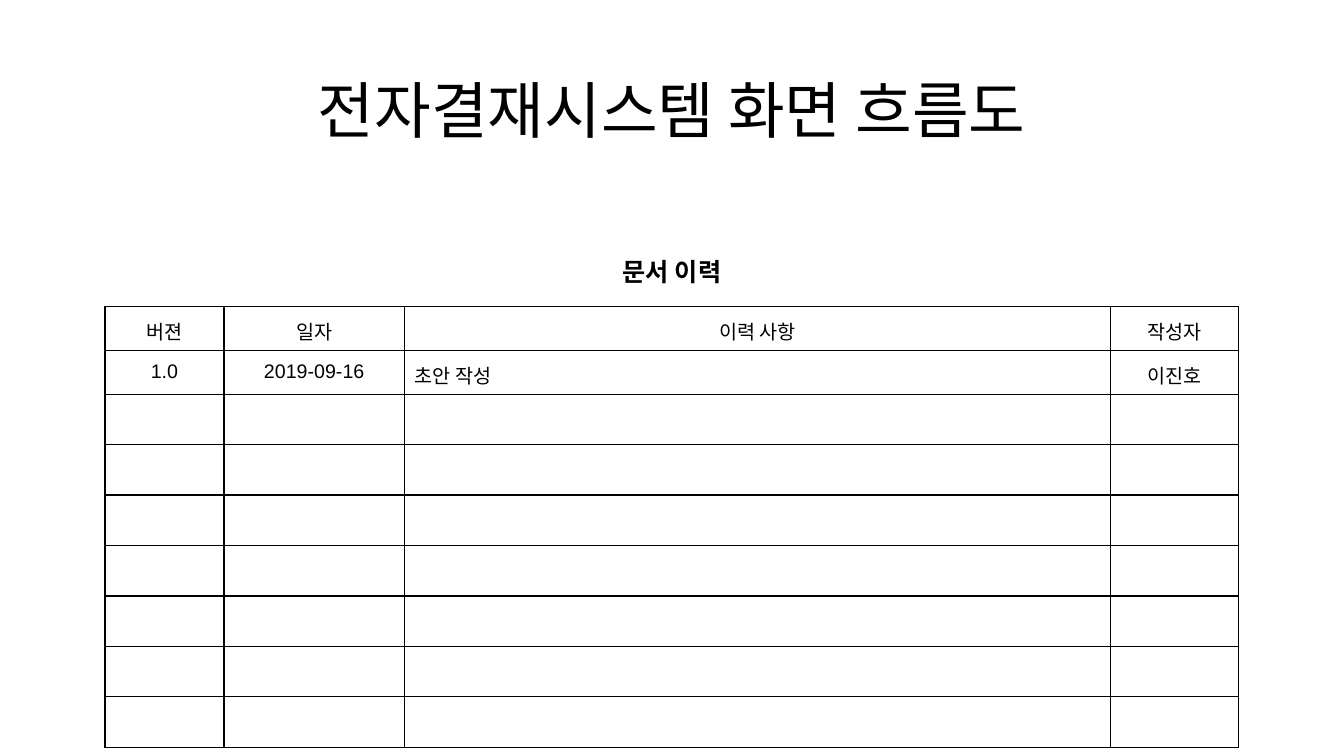
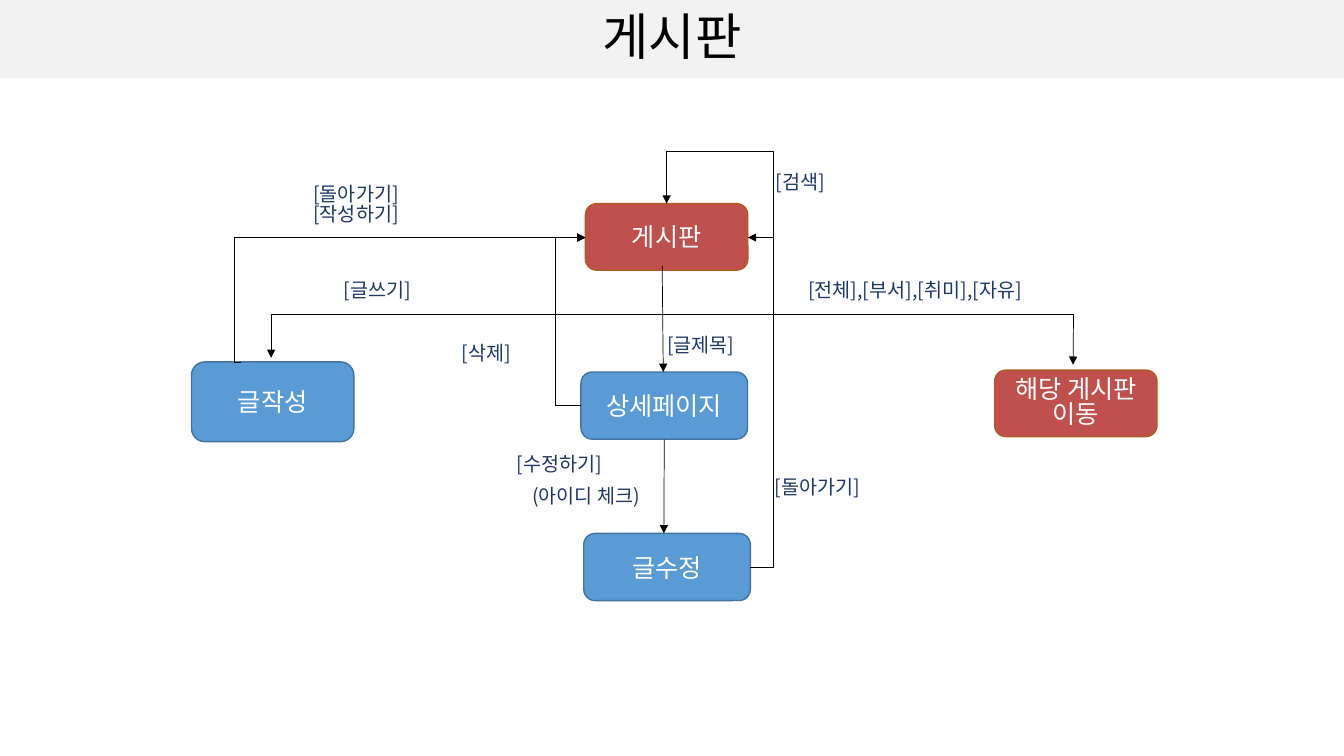
from pptx import Presentation
from pptx.dml.color import RGBColor
from pptx.enum.shapes import MSO_CONNECTOR as Conn, MSO_SHAPE as Kind
from pptx.enum.text import MSO_ANCHOR as Anchor, PP_ALIGN as Align
from pptx.oxml.ns import qn
from pptx.util import Pt
from lxml.etree import SubElement as Sub

BLACK = RGBColor(0x00, 0x00, 0x00)
WHITE = RGBColor(0xFF, 0xFF, 0xFF)
GREY = RGBColor(0xF2, 0xF2, 0xF2)
NAVY = RGBColor(0x20, 0x38, 0x64)
BLUE = RGBColor(0x5B, 0x9B, 0xD5)
STEEL = RGBColor(0x43, 0x73, 0x9E)
RED = RGBColor(0xC0, 0x50, 0x4D)
RUST = RGBColor(0xAF, 0x5C, 0x24)


class Deck:
    font = "Noto Sans CJK KR"
    latin = "Arial"
    thin = 0.5

    def __init__(self):
        self.prs = Presentation()
        self.prs.slide_width, self.prs.slide_height = Pt(960), Pt(540)

    def page(self):
        self.slide = self.prs.slides.add_slide(self.prs.slide_layouts[6])

    def put(self, frame, lines, size, color, align=Align.LEFT, font=font, bold=False, lead=None):
        frame.word_wrap = True
        for i, line in enumerate(lines):
            para = frame.add_paragraph() if i else frame.paragraphs[0]
            para.alignment = align
            if lead:
                para.line_spacing = lead
            run = para.add_run()
            run.text = line
            run.font.size, run.font.bold, run.font.name = Pt(size), bold, font
            run.font.color.rgb = color
            Sub(run.font._element, qn("a:ea")).set("typeface", self.font)

    def text(self, lines, x, y, w, h, size, color, anchor=Anchor.TOP, **style):
        frame = self.slide.shapes.add_textbox(Pt(x), Pt(y), Pt(w), Pt(h)).text_frame
        frame.vertical_anchor = anchor
        self.put(frame, lines, size, color, **style)

    def head(self, line, x, y, w, h, size, **style):
        self.text([line], x, y, w, h, size, BLACK, Anchor.MIDDLE, align=Align.CENTER, **style)

    def label(self, x, y, *lines):
        lead = 0.83 if len(lines) > 1 else None
        self.text(lines, x, y, 210 if len(lines[0]) > 12 else 117, 24.5, 14, NAVY, lead=lead)

    def shape(self, kind, x, y, w, h, fill, edge=None):
        shape = self.slide.shapes.add_shape(kind, Pt(x), Pt(y), Pt(w), Pt(h))
        shape.shadow.inherit = False
        shape.fill.solid()
        shape.fill.fore_color.rgb = fill
        if edge is None:
            shape.line.fill.background()
        else:
            shape.line.color.rgb, shape.line.width = edge, Pt(1)
        shape.text_frame.vertical_anchor = Anchor.MIDDLE
        return shape.text_frame

    def band(self, line):
        frame = self.shape(Kind.RECTANGLE, 0, 0, 960, 56, GREY)
        self.put(frame, [line], 36, BLACK, Align.CENTER, lead=0.9)

    def box(self, x, y, w, h, fill, edge, *lines):
        frame = self.shape(Kind.ROUNDED_RECTANGLE, x, y, w, h, fill, edge)
        lead = 0.83 if len(lines) > 1 else None
        self.put(frame, lines, 18, WHITE, Align.CENTER, lead=lead)

    def line(self, x1, y1, x2, y2, arrow=True, kind=Conn.STRAIGHT):
        link = self.slide.shapes.add_connector(kind, Pt(x1), Pt(y1), Pt(x2), Pt(y2))
        link.line.color.rgb, link.line.width = BLACK, Pt(self.thin)
        props = link._element.spPr
        if arrow:
            Sub(props.find(qn("a:ln")), qn("a:tailEnd")).set("type", "triangle")
        Sub(props, qn("a:effectLst"))
        return link

    def bend(self, x1, y1, x2, y2, via, over=None):
        link = self.line(x1, y1, x2, y2, kind=Conn.ELBOW)
        geom = link._element.spPr.find(qn("a:prstGeom"))
        turns = [(via - x1) / (x2 - x1)]
        if over is not None:
            geom.set("prst", "bentConnector4")
            turns.append((over - y1) / (y2 - y1))
        for i, turn in enumerate(turns, 1):
            guide = Sub(geom.find(qn("a:avLst")), qn("a:gd"))
            guide.set("name", f"adj{i}")
            guide.set("fmla", f"val {round(turn * 100000)}")

    def cell(self, cell, line, align):
        cell.margin_left = cell.margin_right = Pt(7.2)
        cell.margin_top = cell.margin_bottom = Pt(7.2)
        self.put(cell.text_frame, [line], 14, BLACK, align, self.latin)
        props = cell._tc.get_or_add_tcPr()
        for side in ("lnL", "lnR", "lnT", "lnB"):
            edge = Sub(props, qn(f"a:{side}"))
            edge.set("w", str(Pt(1)))
            Sub(Sub(edge, qn("a:solidFill")), qn("a:srgbClr")).set("val", str(BLACK))
        cell.fill.background()

    def table(self, x, y, widths, high, count, rows):
        table = self.slide.shapes.add_table(
            count, len(widths), Pt(x), Pt(y), Pt(sum(widths)), Pt(high * count)).table
        table.first_row = table.horz_banding = False
        for col, width in zip(table.columns, widths):
            col.width = Pt(width)
        for r, row in enumerate(table.rows):
            row.height = Pt(high)
            for c, cell in enumerate(row.cells):
                left = r > 0 and c == 2
                line = rows[r][c] if r < len(rows) else ""
                self.cell(cell, line, Align.LEFT if left else Align.CENTER)


deck = Deck()

deck.page()
deck.head("전자결재시스템 화면 흐름도", 66, 28.8, 828, 104.4, 44, lead=0.9)
deck.table(75, 219, (85, 129, 504.5, 91.5), 31.28, 9, [
    ("버젼", "일자", "이력 사항", "작성자"),
    ("1.0", "2019-09-16", "초안 작성", "이진호"),
])
deck.head("문서 이력", 75, 178, 810, 31.7, 18, bold=True)

deck.page()
deck.band("게시판")
for x, y, w, h, line in (
    (415, 265.7, 119, 48, "상세페이지"),
    (136.8, 258.5, 116, 57, "글작성"),
    (417, 381, 119, 48, "글수정"),
):
    deck.box(x, y, w, h, BLUE, STEEL, line)
for x, y, *lines in (
    (418.2, 145.5, "게시판"),
    (710.5, 264.4, "해당 게시판", "이동"),
):
    deck.box(x, y, 116, 47.5, RED, RUST, *lines)

deck.line(193.3, 224.6, 767, 224.6, arrow=False)
for ends in (
    (193.7, 224.6, 193.7, 255.6),
    (766.8, 224.6, 766.5, 260.6),
    (473, 190, 473.8, 265.7),
    (474.5, 314, 474.2, 381),
):
    deck.line(*ends)
deck.bend(534.2, 169.7, 476.2, 145.5, 552.4, 108.3)
deck.bend(172, 258.5, 418.2, 169.7, 167)
deck.bend(415, 289.7, 418.2, 169.7, 396.8)
deck.bend(536, 405.2, 534.2, 169.7, 552.4)

for spot in (
    (238.3, 195.1, "[글쓰기]"),
    (570.2, 195.1, "[전체],[부서],[취미],[자유]"),
    (469.4, 234, "[글제목]"),
    (362.2, 319, "[수정하기]"),
    (216.7, 129.6, "[돌아가기]", "[작성하기]"),
    (546.5, 335.5, "[돌아가기]"),
    (373, 342, "(아이디 체크)"),
    (547.2, 118.1, "[검색]"),
    (322.6, 239.8, "[삭제]"),
):
    deck.label(*spot)

deck.prs.save("out.pptx")
